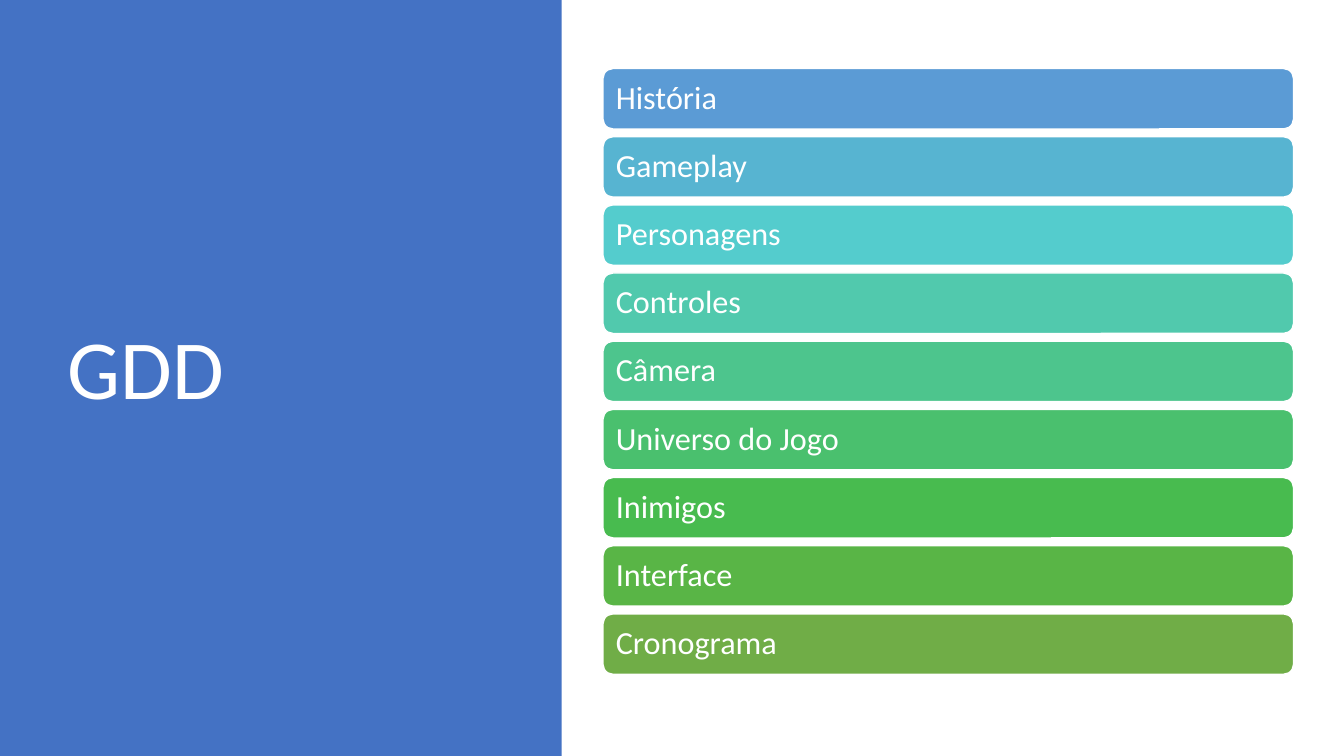
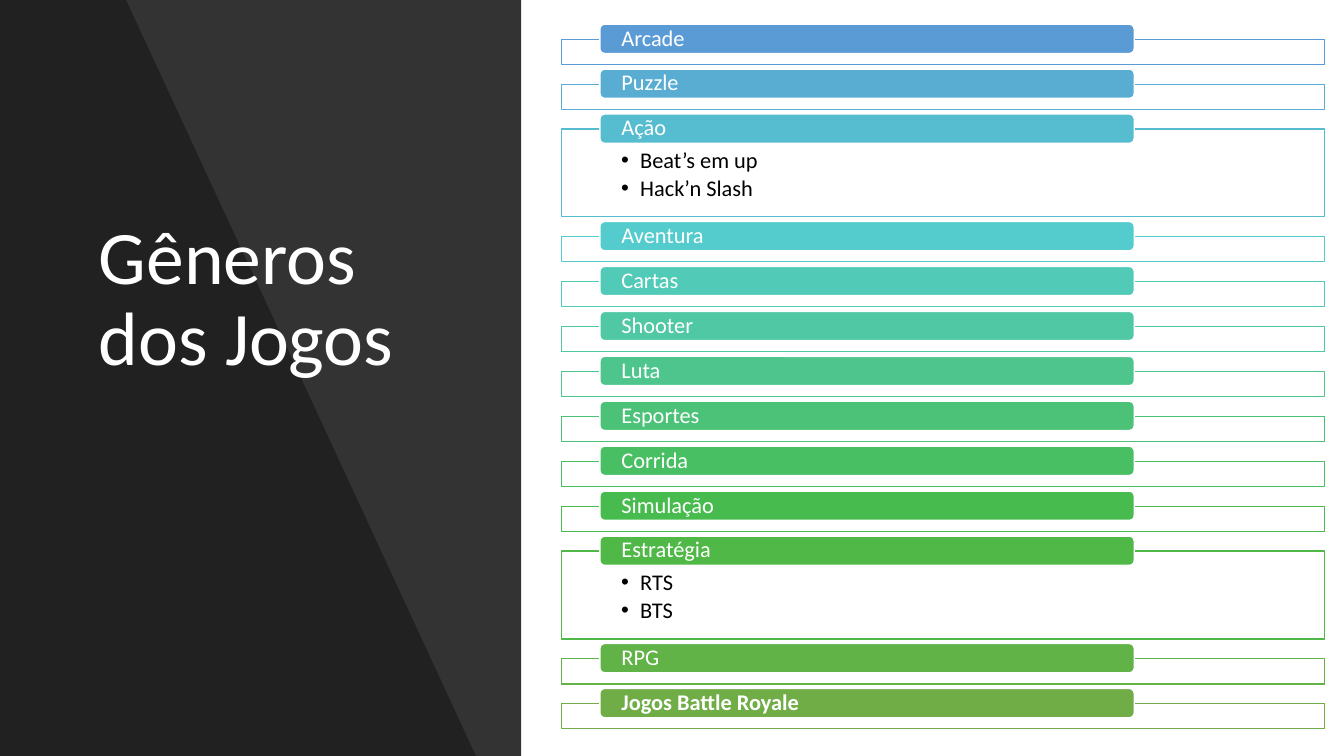
from lxml import etree
from pptx import Presentation
from pptx.dml.color import RGBColor
from pptx.enum.shapes import MSO_SHAPE
from pptx.enum.text import MSO_ANCHOR, MSO_AUTO_SIZE, PP_ALIGN
from pptx.oxml.ns import qn
from pptx.util import Inches, Pt

RECTANGLE, ROUNDED = MSO_SHAPE.RECTANGLE, MSO_SHAPE.ROUNDED_RECTANGLE
TOP, MIDDLE, BOTTOM = MSO_ANCHOR.TOP, MSO_ANCHOR.MIDDLE, MSO_ANCHOR.BOTTOM
LEFT = PP_ALIGN.LEFT
FIXED_SIZE = MSO_AUTO_SIZE.NONE

FONT = "Calibri"
LINE_SPACING = 0.9
TITLE_ONLY = 5
SLIDE_WIDTH, SLIDE_HEIGHT = 13.33, 7.5

WHITE = RGBColor(0xFF, 0xFF, 0xFF)
BLACK = RGBColor(0x00, 0x00, 0x00)
BLUE = RGBColor(0x44, 0x72, 0xC4)

TOPIC_COLOURS = [RGBColor.from_string(code) for code in (
    "5B9BD5", "57B4D1", "54CCCD", "51C9AD", "4DC58D",
    "4AC06E", "48BB4F", "59B546", "70AD47")]
GENRE_COLOURS = [RGBColor.from_string(code) for code in (
    "5B9BD5", "59ACD2", "56BCD0", "54CCCD", "52CAB8", "4FC8A3", "4DC58D",
    "4BC278", "49BF64", "48BB4F", "50B846", "61B247", "70AD47")]

TOPICS = ["História", "Gameplay", "Personagens", "Controles", "Câmera",
          "Universo do Jogo", "Inimigos", "Interface", "Cronograma"]
GENRES = [
    ("Arcade", []),
    ("Puzzle", []),
    ("Ação", ["Beat’s em up", "Hack’n Slash"]),
    ("Aventura", []),
    ("Cartas", []),
    ("Shooter", []),
    ("Luta", []),
    ("Esportes", []),
    ("Corrida", []),
    ("Simulação", []),
    ("Estratégia", ["RTS", "BTS"]),
    ("RPG", []),
    ("Jogos Battle Royale", []),
]
BOLD_GENRE = "Jogos Battle Royale"


def paint(shape, fill, line=None, opacity=100):
    shape.shadow.inherit = False
    shape.fill.solid()
    shape.fill.fore_color.rgb = fill
    if opacity < 100:
        colour = shape.fill._xPr.find(qn("a:solidFill"))[0]
        etree.SubElement(colour, qn("a:alpha")).set("val", str(opacity * 1000))
    if line is None:
        shape.line.fill.background()
    else:
        shape.line.color.rgb = line
        shape.line.width = Pt(1)


def add_box(slide, kind, box, fill, line=None, opacity=100):
    shape = slide.shapes.add_shape(kind, *map(Inches, box))
    paint(shape, fill, line, opacity)
    return shape


def set_frame(shape, anchor, insets):
    frame = shape.text_frame
    frame.word_wrap = True
    frame.vertical_anchor = anchor
    frame.margin_left, frame.margin_top, frame.margin_right, frame.margin_bottom = map(
        Inches, insets)
    return frame


def style(paragraph, size, colour, bold=False):
    paragraph.alignment = LEFT
    paragraph.line_spacing = LINE_SPACING
    paragraph.font.name = FONT
    paragraph.font.size = Pt(size)
    paragraph.font.color.rgb = colour
    paragraph.font.bold = bold


def add_bar(slide, box, fill, text, size, insets, bold=False):
    bar = add_box(slide, ROUNDED, box, fill, WHITE)
    paragraph = set_frame(bar, MIDDLE, insets).paragraphs[0]
    paragraph.text = text
    style(paragraph, size, WHITE, bold)


def add_bullets(shape, items, insets):
    frame = set_frame(shape, TOP, insets)
    for index, item in enumerate(items):
        paragraph = frame.add_paragraph() if index else frame.paragraphs[0]
        paragraph.text = item
        properties = paragraph._p.get_or_add_pPr()
        properties.set("marL", str(Inches(0.19)))
        properties.set("indent", str(-Inches(0.19)))
        etree.SubElement(properties, qn("a:buFont")).set("typeface", "Arial")
        etree.SubElement(properties, qn("a:buChar")).set("char", "•")
        style(paragraph, 16, BLACK)
        paragraph.space_after = Pt(2.4)


def set_title(slide, text, box, size, anchor):
    title = slide.shapes.title
    title.element.getparent().append(title.element)
    title.left, title.top, title.width, title.height = map(Inches, box)
    frame = set_frame(title, anchor, (0.1, 0.05, 0.1, 0.05))
    frame.auto_size = FIXED_SIZE
    frame.text = text
    style(frame.paragraphs[0], size, WHITE)


def build_topics(presentation):
    slide = presentation.slides.add_slide(presentation.slide_layouts[TITLE_ONLY])
    add_box(slide, RECTANGLE, (0, 0, 5.57, SLIDE_HEIGHT), BLUE)
    set_title(slide, "GDD", (0.57, 0.68, 4.16, 6.02), 60, MIDDLE)
    first_top, last_top = 0.68, 6.09
    pitch = (last_top - first_top) / (len(TOPICS) - 1)
    for index, (topic, colour) in enumerate(zip(TOPICS, TOPIC_COLOURS)):
        add_bar(slide, (5.98, first_top + index * pitch, 6.85, 0.6), colour,
                topic, 23, (0.1, 0.1, 0.1, 0.1))


def build_genres(presentation):
    slide = presentation.slides.add_slide(presentation.slide_layouts[TITLE_ONLY])
    add_box(slide, RECTANGLE, (0, 0, 5.17, SLIDE_HEIGHT), BLACK, opacity=80)
    builder = slide.shapes.build_freeform(0, 0)
    builder.add_line_segments([(Inches(x), Inches(y)) for x, y in (
        (1.25, 0), (4.72, SLIDE_HEIGHT), (0, SLIDE_HEIGHT))], close=True)
    paint(builder.convert_to_shape(), BLACK, opacity=35)
    set_title(slide, "Gêneros dos Jogos", (0.88, 1.23, 3.62, 2.61), 54, BOTTOM)

    top, bottom = 0.39, 7.23
    heights = [0.87 if subgenres else 0.25 for _, subgenres in GENRES]
    gap = (bottom - top - sum(heights)) / (len(GENRES) - 1)
    for (genre, subgenres), colour, height in zip(GENRES, GENRE_COLOURS, heights):
        outline = add_box(slide, RECTANGLE, (5.57, top, 7.57, height), WHITE, colour, 90)
        if subgenres:
            add_bullets(outline, subgenres, (0.59, 0.2, 0.59, 0.12))
        add_bar(slide, (5.95, top - 0.15, 5.3, 0.29), colour, genre, 16,
                (0.2, 0, 0.2, 0), genre == BOLD_GENRE)
        top += height + gap


def main():
    presentation = Presentation()
    presentation.slide_width = Inches(SLIDE_WIDTH)
    presentation.slide_height = Inches(SLIDE_HEIGHT)
    build_topics(presentation)
    build_genres(presentation)
    presentation.save("out.pptx")


if __name__ == "__main__":
    main()
